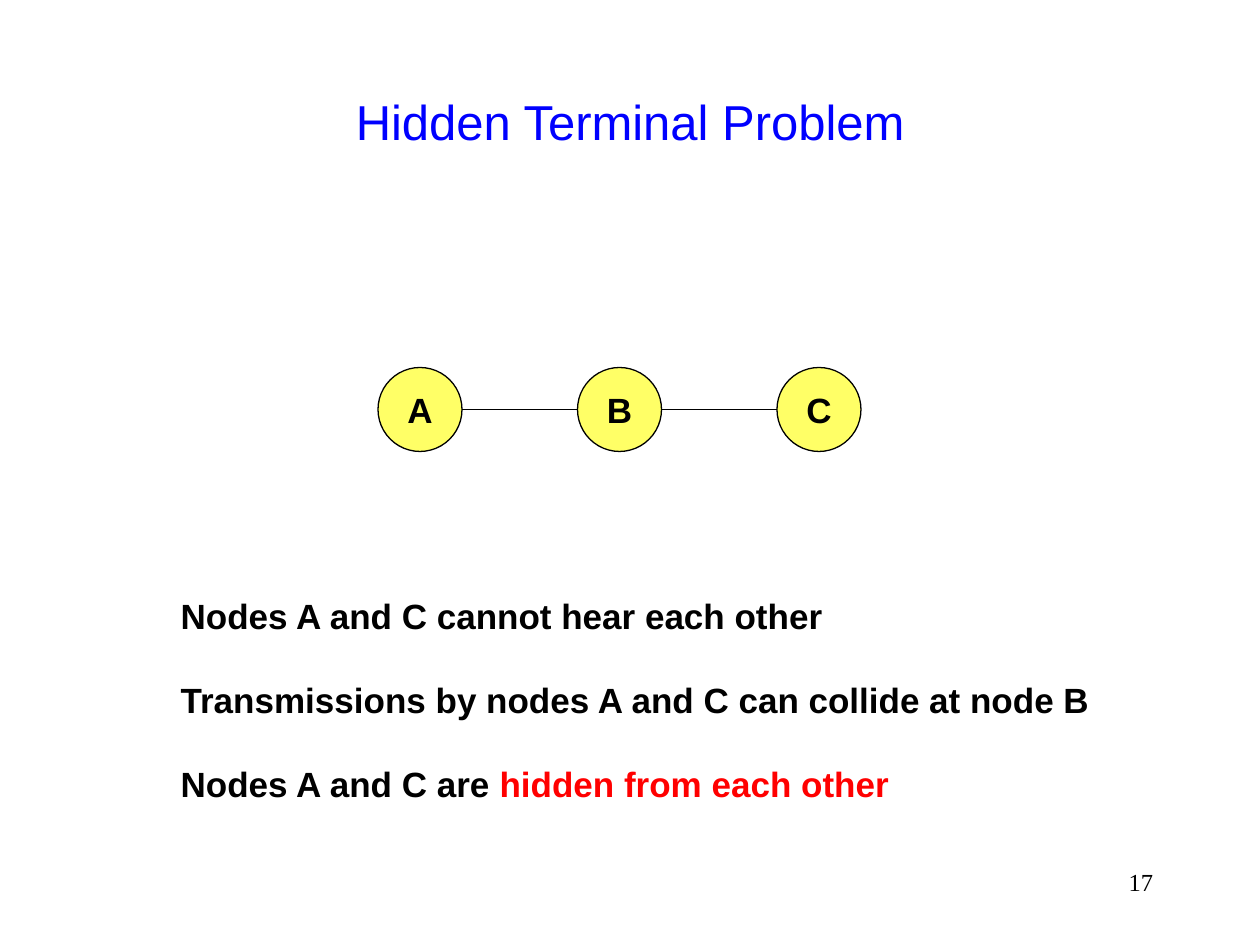
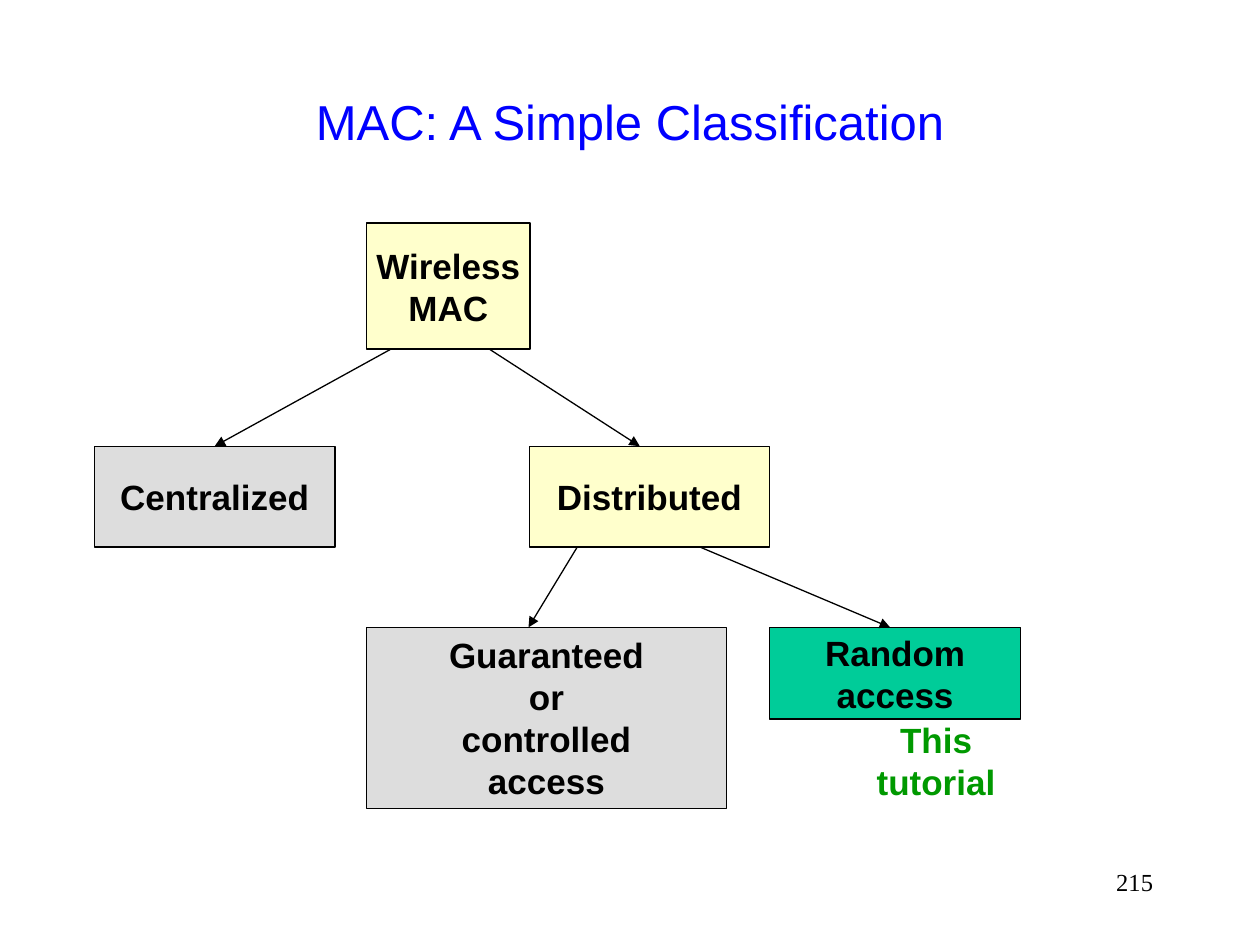
from lxml.etree import SubElement
from pptx import Presentation
from pptx.dml.color import RGBColor
from pptx.enum.shapes import MSO_CONNECTOR as Connector, MSO_SHAPE as Shape
from pptx.enum.text import MSO_ANCHOR as Anchor, MSO_AUTO_SIZE as AutoSize, PP_ALIGN as Align
from pptx.oxml.ns import qn
from pptx.util import Inches, Pt

BLACK = RGBColor(0x00, 0x00, 0x00)
BLUE = RGBColor(0x00, 0x00, 0xFF)
RED = RGBColor(0xFF, 0x00, 0x00)
YELLOW = RGBColor(0xFF, 0xFF, 0x66)
CREAM = RGBColor(0xFF, 0xFF, 0xCC)
GRAY = RGBColor(0xDD, 0xDD, 0xDD)
TEAL = RGBColor(0x00, 0xCC, 0x99)
GREEN = RGBColor(0x00, 0x99, 0x00)

HIDDEN_TITLE, HIDDEN_NUMBER = "Hidden Terminal Problem", "17"
NODES = ["A", "B", "C"]
STATEMENTS = [
    [("Nodes A and C cannot hear each other", BLACK)],
    [("Transmissions by nodes A and C can collide at node B", BLACK)],
    [("Nodes A and C are ", BLACK), ("hidden from each other", RED)],
]

MAC_TITLE, MAC_NUMBER = "MAC: A Simple Classification", "215"
CLASSES = {
    "root": ("Wireless\nMAC", CREAM, (34.9, 21.25, 15.6, 12)),
    "centralized": ("Centralized", GRAY, (9, 42.5, 22.9, 9.6)),
    "distributed": ("Distributed", CREAM, (50.4, 42.5, 22.9, 9.6)),
    "guaranteed": ("Guaranteed\nor\ncontrolled\naccess", GRAY, (34.9, 59.75, 34.3, 17.25)),
    "random": ("Random\naccess", TEAL, (73.3, 59.75, 23.9, 8.75)),
}
BRANCHES = [
    ("root", 0.15, "centralized", 0.5),
    ("root", 0.75, "distributed", 0.46),
    ("distributed", 0.2, "guaranteed", 0.45),
    ("distributed", 0.71, "random", 0.48),
]
TUTORIAL_NOTE = "This\ntutorial"

SLIDE_WIDTH, SLIDE_HEIGHT = Inches(10), Inches(7.5)
GRID_COLUMNS = 120
TITLE_AREA = (9, 4, 102, 15)
NUMBER_AREA = (86, 82, 25, 6)
STATEMENTS_AREA = (16, 56, 92, 21.25)
NOTE_AREA = (82.3, 67.8, 13.7, 9.25)
NODE_LEFT, NODE_TOP, NODE_SIZE, NODE_PITCH = 36, 35, 8, 19
LINE_HEIGHT = Pt(24)


def grid(*cells):
    return [round(SLIDE_WIDTH * cell / GRID_COLUMNS) for cell in cells]


def format_font(font, size, color, name="Arial", bold=False):
    font.name, font.size, font.bold = name, Pt(size), bold
    font.color.rgb = color


def fill_label(shape, text, color=BLACK, anchor=Anchor.MIDDLE):
    frame = shape.text_frame
    frame.text = text
    frame.word_wrap = False
    frame.vertical_anchor = anchor
    for paragraph in frame.paragraphs:
        paragraph.alignment = Align.CENTER
        paragraph.line_spacing = LINE_HEIGHT
        format_font(paragraph.font, 20, color, bold=True)


def add_label_shape(slide, kind, area, text, color):
    shape = slide.shapes.add_shape(kind, *grid(*area))
    shape.shadow.inherit = False
    shape.fill.solid()
    shape.fill.fore_color.rgb = color
    shape.line.color.rgb = BLACK
    shape.line.width = Pt(0.75)
    fill_label(shape, text)


def add_line(slide, start, end, arrow=False):
    line = slide.shapes.add_connector(Connector.STRAIGHT, *grid(*start, *end))
    line.line.color.rgb = BLACK
    line.line.width = Pt(0.75)
    if arrow:
        SubElement(line.line._get_or_add_ln(), qn("a:tailEnd"), type="triangle")
    SubElement(line._element.spPr, qn("a:effectLst"))


def place(shape, area):
    shape.left, shape.top, shape.width, shape.height = grid(*area)


def add_slide(presentation, layout_name, title_text, number):
    slide = presentation.slides.add_slide(presentation.slide_layouts.get_by_name(layout_name))
    title = slide.shapes.title
    place(title, TITLE_AREA)
    title.text_frame.text = title_text
    title.text_frame.vertical_anchor = Anchor.MIDDLE
    title.text_frame.paragraphs[0].alignment = Align.CENTER
    format_font(title.text_frame.paragraphs[0].runs[0].font, 28, BLUE)

    number_frame = slide.shapes.add_textbox(*grid(*NUMBER_AREA)).text_frame
    number_frame.word_wrap = True
    number_frame.text = number
    number_frame.paragraphs[0].alignment = Align.RIGHT
    format_font(number_frame.paragraphs[0].runs[0].font, 14, BLACK, "Times New Roman")
    return slide


def fill_statements(body):
    place(body, STATEMENTS_AREA)
    frame = body.text_frame
    frame.auto_size = AutoSize.NONE
    frame.vertical_anchor = Anchor.MIDDLE
    for index, statement in enumerate(STATEMENTS):
        paragraph = frame.paragraphs[0] if index == 0 else frame.add_paragraph()
        properties = paragraph._p.get_or_add_pPr()
        properties.set("marL", "0")
        properties.set("indent", "0")
        SubElement(properties, qn("a:buNone"))
        paragraph.line_spacing = LINE_HEIGHT
        paragraph.space_before = LINE_HEIGHT if index else Pt(0)
        for text, color in statement:
            run = paragraph.add_run()
            run.text = text
            format_font(run.font, 20, color, bold=True)


def build_hidden_terminal(presentation):
    slide = add_slide(presentation, "Title and Content", HIDDEN_TITLE, HIDDEN_NUMBER)
    middle = NODE_TOP + NODE_SIZE / 2
    for index, name in enumerate(NODES):
        left = NODE_LEFT + index * NODE_PITCH
        add_label_shape(slide, Shape.OVAL, (left, NODE_TOP, NODE_SIZE, NODE_SIZE), name, YELLOW)
        if index:
            add_line(slide, (left - NODE_PITCH + NODE_SIZE, middle), (left, middle))
    fill_statements(slide.placeholders[1])


def build_classification(presentation):
    slide = add_slide(presentation, "Title Only", MAC_TITLE, MAC_NUMBER)
    for text, color, area in CLASSES.values():
        add_label_shape(slide, Shape.RECTANGLE, area, text, color)
    for parent, parent_share, child, child_share in BRANCHES:
        left, top, width, height = CLASSES[parent][2]
        child_left, child_top, child_width, _ = CLASSES[child][2]
        start = (left + parent_share * width, top + height)
        end = (child_left + child_share * child_width, child_top)
        add_line(slide, start, end, arrow=True)
    note = slide.shapes.add_textbox(*grid(*NOTE_AREA))
    fill_label(note, TUTORIAL_NOTE, GREEN, Anchor.TOP)


def main():
    presentation = Presentation()
    presentation.slide_width, presentation.slide_height = SLIDE_WIDTH, SLIDE_HEIGHT
    build_hidden_terminal(presentation)
    build_classification(presentation)
    presentation.save("out.pptx")


if __name__ == "__main__":
    main()
